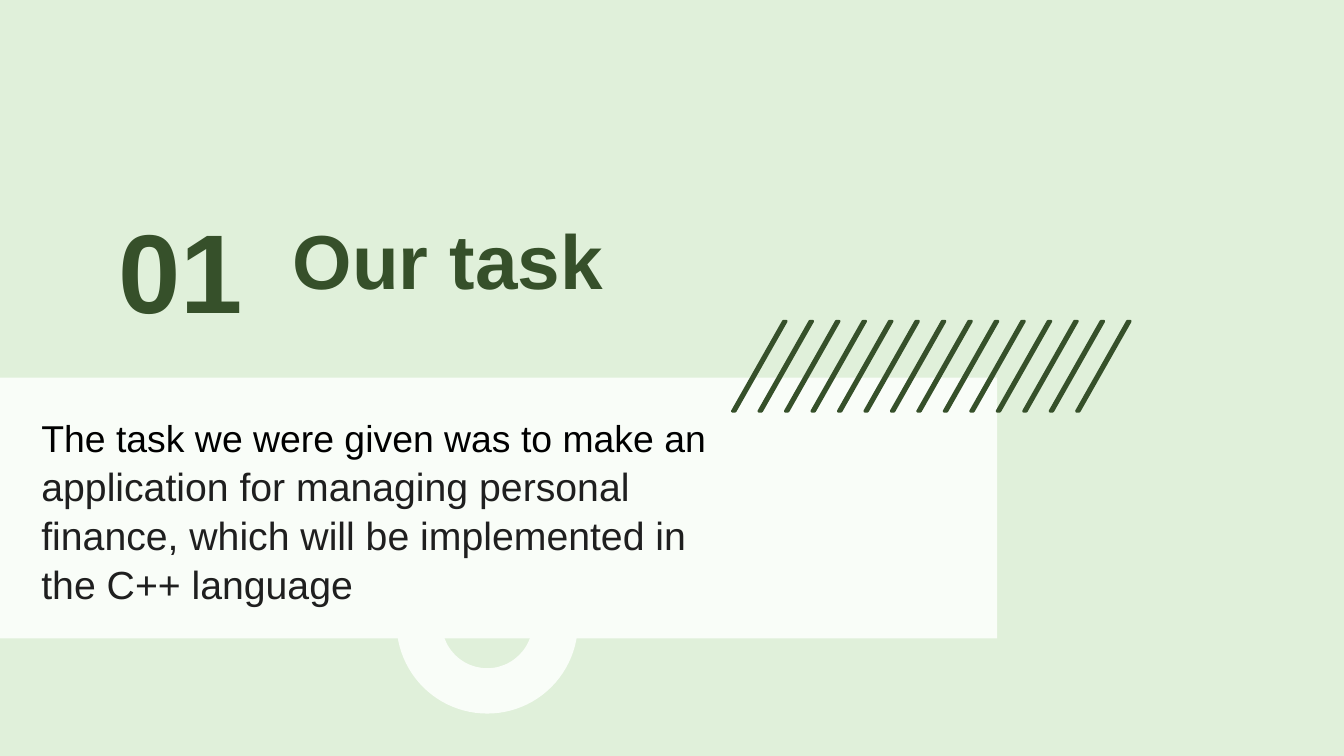
"""Build the section slide "01 Our task" and save it as out.pptx."""
from pptx import Presentation, util as u
from pptx.dml import color
from pptx.enum import shapes, text

theme = {
    "font": "Arial",
    "back": color.RGBColor.from_string("E0F0DA"),
    "pale": color.RGBColor.from_string("F9FDF8"),
    "dark": color.RGBColor.from_string("36502A"),
    "ink": color.RGBColor.from_string("1F1F1F"),
    "black": color.RGBColor.from_string("000000"),
    "head": 41, "num": 60, "lead": 20, "gap": 18, "body": 21,
}


def paint(shape, tone):
    shape.shadow.inherit = False
    shape.fill.solid()
    shape.fill.fore_color.rgb = theme[tone]


def write(box, runs, pad, anchor, lines=1.0):
    area = slide.shapes.add_textbox(*map(u.Inches, box))
    frame = area.text_frame
    sides, ends = map(u.Inches, pad)
    form = {"word_wrap": True, "vertical_anchor": anchor,
            "margin_left": sides, "margin_right": sides,
            "margin_top": ends, "margin_bottom": ends}
    for key, value in form.items():
        setattr(frame, key, value)
    para = frame.paragraphs[0]
    para.line_spacing = lines
    for words, size, tone, bold in runs:
        run = para.add_run()
        run.text = words
        look = {"name": theme["font"], "size": u.Pt(theme[size]), "bold": bold}
        for key, value in look.items():
            setattr(run.font, key, value)
        run.font.color.rgb = theme[tone]


deck = Presentation()
deck.slide_width, deck.slide_height = u.Inches(10), u.Inches(5.625)
slide = deck.slides.add_slide(deck.slide_layouts[6])
slide.background.fill.solid()
slide.background.fill.fore_color.rgb = theme["back"]

kinds = shapes.MSO_SHAPE
for kind, box in [(kinds.DONUT, (2.95, 3.96, 1.35, 1.35)),
                  (kinds.RECTANGLE, (0, 2.81, 7.42, 1.94))]:
    panel = slide.shapes.add_shape(kind, *map(u.Inches, box))
    paint(panel, "pale")
    panel.line.fill.background()

for box, words, size in [((2.08, 0.9, 4.22, 1.47), "Our task", "head"),
                         ((0.78, 1.55, 1.59, 1.05), "01", "num")]:
    write(box, [(words, size, "dark", True)], (0.1, 0.1), text.MSO_ANCHOR.BOTTOM)

count, first, last = 14, 5.45, 8.01
step = (last - first) / (count - 1)
for i in range(count):
    left = first + i * step
    points = [(left + x, y) for x, y in
              [(0.4, 2.39), (0.38, 2.39), (0, 3.06), (0.02, 3.06)]]
    points = [(u.Inches(x), u.Inches(y)) for x, y in points]
    path = slide.shapes.build_freeform(*points[0])
    path.add_line_segments(points[1:], close=True)
    slash = path.convert_to_shape()
    paint(slash, "dark")
    slash.line.color.rgb = theme["dark"]
    slash.line.width = u.Pt(1.5)

write((0.21, 3.03, 5.2, 1.5), [
    ("The task we were given was to make an", "lead", "black", False),
    (" ", "gap", "black", False),
    ("application for managing personal finance, which will be "
     "implemented in the C++ language", "body", "ink", False),
], (0.1, 0.05), text.MSO_ANCHOR.TOP, 1.04)

deck.save("out.pptx")
